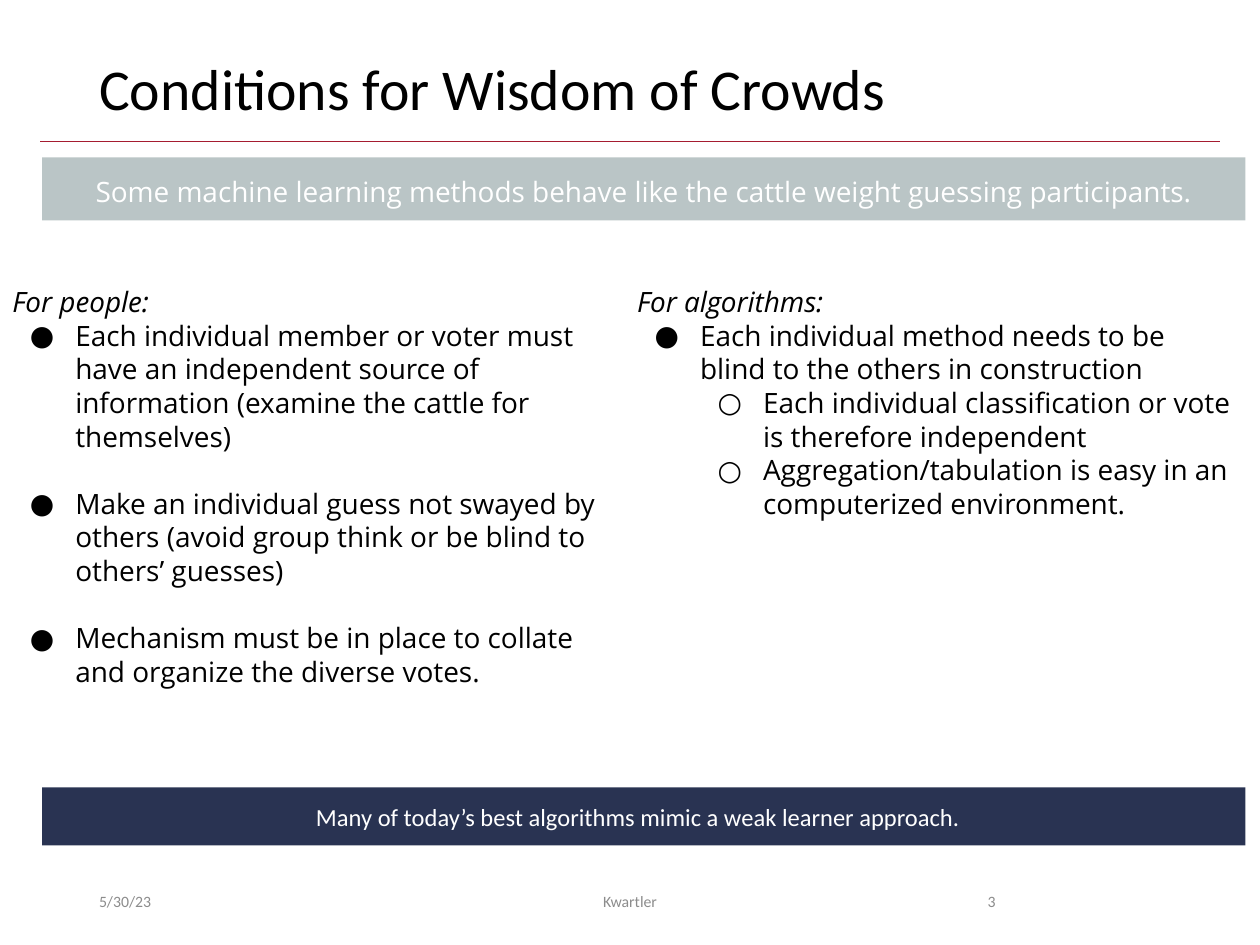
from lxml import etree
from pptx import Presentation
from pptx.dml.color import RGBColor
from pptx.enum import shapes, text
from pptx.oxml.ns import qn
from pptx.util import Pt

TITLE = "Conditions for Wisdom of Crowds"
BODY, SANS = "Open Sans", "Calibri"
LEFT, MID, RIGHT = text.PP_ALIGN.LEFT, text.PP_ALIGN.CENTER, text.PP_ALIGN.RIGHT

# top, height, fill, font, size, line spacing, right inset, wording
BANDS = [
    (90, 36, "BAC5C6", BODY, 16, 1.15, 7.2,
     "Some machine learning methods behave like the cattle weight guessing participants."),
    (450, 33.1, "293352", SANS, 14, 1, 13.5,
     "Many of today’s best algorithms mimic a weak learner approach."),
]
# heading, gap between bullets, (level, wording)
COLUMNS = [
    ("For people:", 19.2, [
        (0, "Each individual member or voter must have an independent source of "
            "information (examine the cattle for themselves)"),
        (0, "Make an individual guess not swayed by others (avoid group think or "
            "be blind to others’ guesses)"),
        (0, "Mechanism must be in place to collate and organize the diverse votes."),
    ]),
    ("For algorithms:", 0, [
        (0, "Each individual method needs to be blind to the others in construction"),
        (1, "Each individual classification or vote is therefore independent"),
        (1, "Aggregation/tabulation is easy in an computerized environment."),
    ]),
]
# left, width, alignment, wording
FOOTER = [
    (49.5, 162, LEFT, "5/30/23"),
    (238.5, 243, MID, "Kwartler"),
    (508.5, 67.5, RIGHT, "3"),
]
COL_W = 357


def color(code):
    return RGBColor.from_string(code)


def style(par, font, size, code, align=LEFT, italic=False):
    par.alignment = align
    for run in par.runs:
        run.font.name, run.font.size = font, Pt(size)
        run.font.color.rgb = color(code)
        run.font.italic = italic


def inset(frame, side, edge, right=None):
    frame.margin_left = Pt(side)
    frame.margin_right = Pt(side if right is None else right)
    frame.margin_top = frame.margin_bottom = Pt(edge)


def box(slide, left, top, width, height):
    frame = slide.shapes.add_textbox(Pt(left), Pt(top), Pt(width), Pt(height)).text_frame
    frame.word_wrap = True
    return frame


def bullet(par, level):
    par.level = level
    props = par._p.get_or_add_pPr()
    props.set("marL", str(Pt(36 * (level + 1))))
    props.set("indent", str(Pt(-26)))
    etree.SubElement(props, qn("a:buFont"), typeface=BODY)
    etree.SubElement(props, qn("a:buChar"), char="●○"[level])


def add_title(slide):
    title = slide.shapes.title
    title.left, title.top, title.width, title.height = Pt(49.5), Pt(28.8), Pt(621), Pt(46.8)
    frame = title.text_frame
    frame.text = TITLE
    frame.vertical_anchor = text.MSO_ANCHOR.MIDDLE
    inset(frame, 7.2, 3.6)
    frame.paragraphs[0].line_spacing = 0.9
    style(frame.paragraphs[0], SANS, 33, "000000")


def add_rule(slide):
    rule = slide.shapes.add_connector(
        shapes.MSO_CONNECTOR.STRAIGHT, Pt(23), Pt(80.6), Pt(697), Pt(80.6))
    rule.line.color.rgb, rule.line.width = color("A51C30"), Pt(0.5)
    etree.SubElement(rule._element.spPr, qn("a:effectLst"))


def add_band(slide, top, height, fill, font, size, spacing, right, words):
    band = slide.shapes.add_shape(
        shapes.MSO_SHAPE.RECTANGLE, Pt(24), Pt(top), Pt(687.6), Pt(height))
    band.shadow.inherit = False
    band.fill.solid()
    band.fill.fore_color.rgb = color(fill)
    band.line.fill.background()
    frame = band.text_frame
    frame.text = words
    frame.word_wrap = True
    frame.vertical_anchor = text.MSO_ANCHOR.MIDDLE
    inset(frame, 7.2, 7.2, right)
    frame.paragraphs[0].line_spacing = spacing
    style(frame.paragraphs[0], font, size, "FFFFFF", MID)


def add_column(slide, left, head, gap, items):
    frame = box(slide, left, 155.5, COL_W, 242.6)
    inset(frame, 7.2, 7.2)
    frame.text = head
    style(frame.paragraphs[0], BODY, 16, "000000", italic=True)
    for i, (level, words) in enumerate(items):
        par = frame.add_paragraph()
        par.text = words
        par.space_before = Pt(gap if i else 0)
        bullet(par, level)
        style(par, BODY, 16, "000000")


def add_footer(slide, left, width, align, words):
    frame = box(slide, left, 500.5, width, 28.8)
    frame.text = words
    frame.vertical_anchor = text.MSO_ANCHOR.MIDDLE
    style(frame.paragraphs[0], SANS, 9, "8C8C8C", align)


def main():
    deck = Presentation()
    deck.slide_width, deck.slide_height = Pt(720), Pt(540)
    slide = deck.slides.add_slide(deck.slide_layouts[5])
    add_rule(slide)
    add_title(slide)
    for band in BANDS:
        add_band(slide, *band)
    for i, column in enumerate(COLUMNS):
        add_column(slide, i * COL_W, *column)
    for part in FOOTER:
        add_footer(slide, *part)
    deck.save("out.pptx")


if __name__ == "__main__":
    main()
